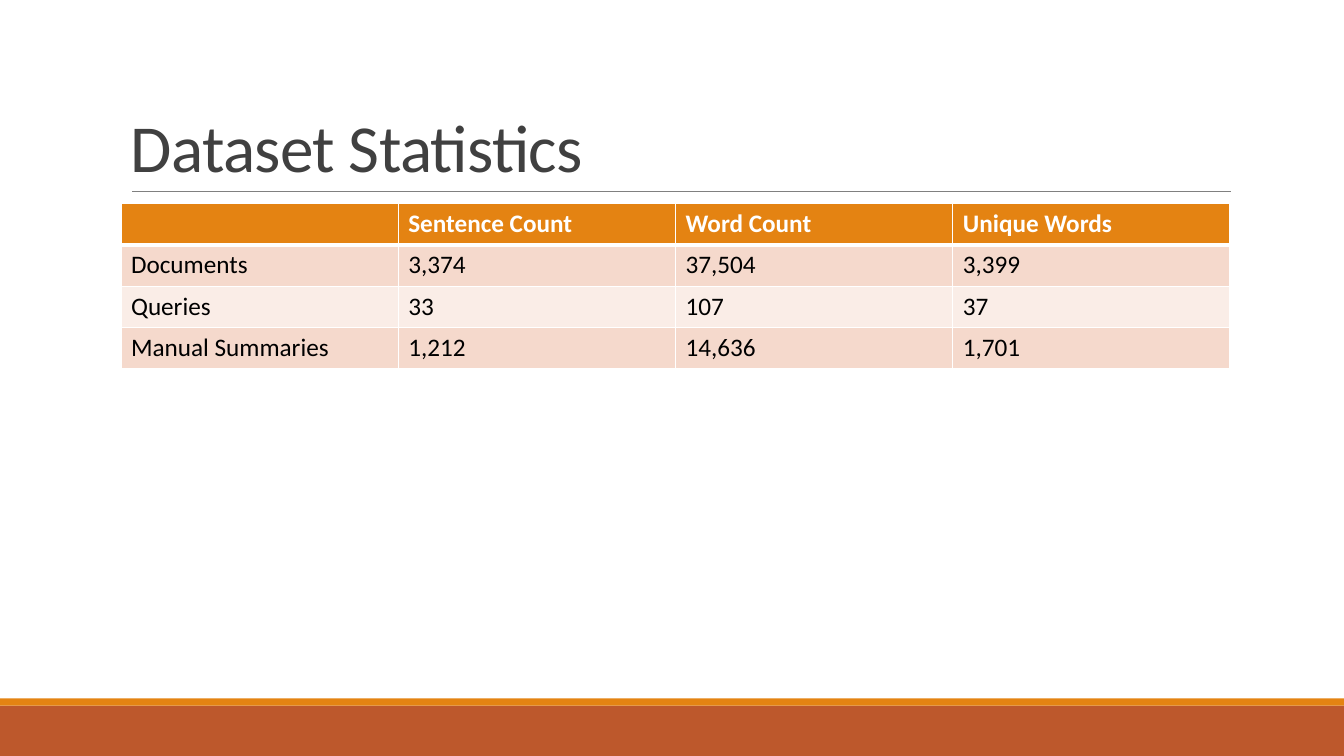
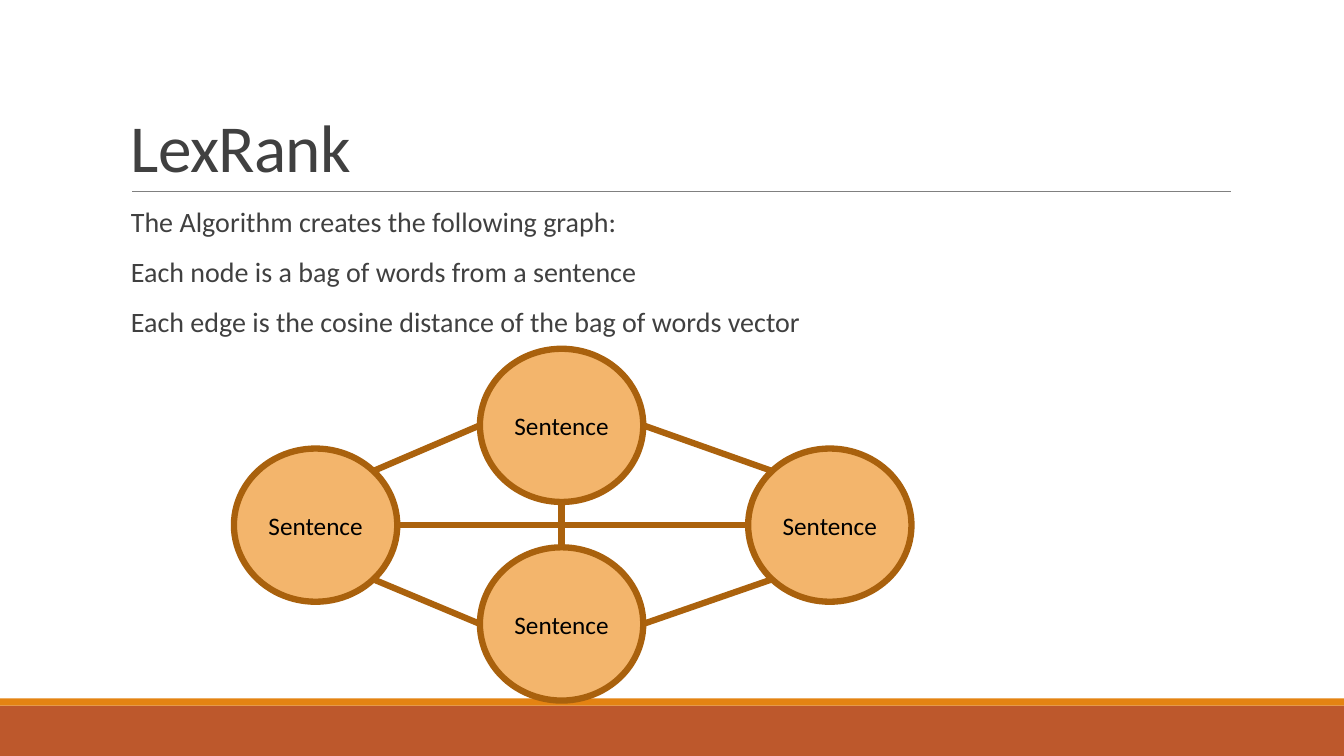
from math import cos, radians, sin

from lxml.etree import SubElement
from pptx import Presentation
from pptx.dml.color import RGBColor
from pptx.enum.shapes import MSO_CONNECTOR, MSO_SHAPE
from pptx.enum.text import MSO_ANCHOR, PP_ALIGN
from pptx.oxml.ns import qn
from pptx.util import Inches, Pt

FONT = "Calibri"
WHITE, BLACK, GRAY = "FFFFFF", "000000", "404040"
ORANGE, RUST, RULE = "E48312", "BD582C", "808080"
PEACH, BROWN, EDGE = "F3B56C", "A9610D", "AB620D"
BANDS = ("F5D9CC", "FAEDE7")
WIDE, HIGH = 13.33, 7.5
BODY = (1.2, 2.02, 11, 4.4)


def color(code):
    """Turn a hex string into a colour."""
    return RGBColor.from_string(code)


def style(para, size, code, bold=False):
    """Set the font of a whole paragraph."""
    font = para.font
    font.name, font.size, font.bold = FONT, Pt(size), bold
    font.color.rgb = color(code)


def shape(slide, kind, box, fill, line=None):
    """Add a flat preset shape with an optional (colour, points) outline."""
    item = slide.shapes.add_shape(kind, *map(Inches, box))
    item.shadow.inherit = False
    item.fill.solid()
    item.fill.fore_color.rgb = color(fill)
    if line:
        item.line.color.rgb = color(line[0])
        item.line.width = Pt(line[1])
    else:
        item.line.fill.background()
    return item


def link(slide, start, end, code, width):
    """Add a straight line between two points."""
    item = slide.shapes.add_connector(
        MSO_CONNECTOR.STRAIGHT, *map(Inches, (*start, *end)))
    item.line.color.rgb = color(code)
    item.line.width = Pt(width)
    SubElement(item._element.spPr, qn("a:effectLst"))


def text(slide, box, lines, size):
    """Add a wrapped text box with one paragraph per line."""
    frame = slide.shapes.add_textbox(*map(Inches, box)).text_frame
    frame.word_wrap = True
    frame.text = "\n".join(lines)
    for para in frame.paragraphs:
        style(para, size, GRAY)
    return frame


def base(deck, title):
    """Add a slide with the shared bands, rule and title."""
    slide = deck.slides.add_slide(deck.slide_layouts[6])
    shape(slide, MSO_SHAPE.RECTANGLE, (0, 7, WIDE, 0.5), RUST)
    shape(slide, MSO_SHAPE.RECTANGLE, (0, 6.93, WIDE, 0.07), ORANGE)
    link(slide, (1.31, 1.9), (12.21, 1.9), RULE, 0.5)
    frame = text(slide, (1.2, 0.31, 11, 1.59), [title], 48)
    frame.vertical_anchor = MSO_ANCHOR.BOTTOM
    para = frame.paragraphs[0]
    para.line_spacing = 0.85
    para._p.pPr.find(qn("a:defRPr")).set("spc", "-50")
    return slide


def border(cell, low):
    """Draw white cell borders, with the bottom one low points wide."""
    props = cell._tc.get_or_add_tcPr()
    for spot, (side, width) in enumerate(
            (("L", 1), ("R", 1), ("T", 1), ("B", low))):
        line = props.makeelement(qn("a:ln" + side), {"w": str(Pt(width))})
        fill = SubElement(line, qn("a:solidFill"))
        SubElement(fill, qn("a:srgbClr"), val=WHITE)
        props.insert(spot, line)


def table(slide, box, rows, step):
    """Fill a box's width with a banded table under a header row."""
    left, top, width, _ = box
    grid = slide.shapes.add_table(
        len(rows), len(rows[0]),
        *map(Inches, (left, top, width, step * len(rows)))).table
    for r, row in enumerate(rows):
        grid.rows[r].height = Inches(step)
        head = r == 0
        for c, value in enumerate(row):
            cell = grid.cell(r, c)
            cell.text = value
            style(cell.text_frame.paragraphs[0], 18,
                  WHITE if head else BLACK, head)
            cell.fill.solid()
            cell.fill.fore_color.rgb = color(
                ORANGE if head else BANDS[(r - 1) % 2])
            border(cell, 3 if head else 1)


def points(slide, box, lines):
    """Add body lines without bullets."""
    for para in text(slide, box, lines, 20).paragraphs:
        para.line_spacing = 0.9
        para.space_before, para.space_after = Pt(12), Pt(2)


def graph(slide, left, top):
    """Draw four sentence nodes and the edges between them."""
    wide, high = 1.62, 1.52
    nodes = {
        "west": (left, top + 0.99),
        "north": (left + 2.44, top),
        "east": (left + 5.1, top + 0.99),
        "south": (left + 2.44, top + 1.97),
    }
    edges = (
        ("west", 0, "east", 180),
        ("north", 90, "south", 270),
        ("north", 0, "east", 225),
        ("north", 180, "west", 315),
        ("south", 0, "east", 135),
        ("west", 45, "south", 180),
    )

    def rim(name, angle):
        """Find the point on a node's rim, clockwise from the right."""
        x, y = nodes[name]
        turn = radians(angle)
        return (x + wide / 2 * (1 + cos(turn)),
                y + high / 2 * (1 + sin(turn)))

    for spot in nodes.values():
        node = shape(slide, MSO_SHAPE.OVAL, (*spot, wide, high),
                     PEACH, (BROWN, 4.5))
        frame = node.text_frame
        frame.text = "Sentence"
        frame.vertical_anchor = MSO_ANCHOR.MIDDLE
        para = frame.paragraphs[0]
        para.alignment = PP_ALIGN.CENTER
        style(para, 18, BLACK)
    for start, out, end, into in edges:
        link(slide, rim(start, out), rim(end, into), EDGE, 4.5)


def main():
    """Build and save the deck."""
    deck = Presentation()
    deck.slide_width, deck.slide_height = Inches(WIDE), Inches(HIGH)

    table(base(deck, "Dataset Statistics"), BODY, (
        ("", "Sentence Count", "Word Count", "Unique Words"),
        ("Documents", "3,374", "37,504", "3,399"),
        ("Queries", "33", "107", "37"),
        ("Manual Summaries", "1,212", "14,636", "1,701"),
    ), 0.41)

    slide = base(deck, "LexRank")
    points(slide, BODY, (
        "The Algorithm creates the following graph:",
        "Each node is a bag of words from a sentence",
        "Each edge is the cosine distance of the bag of words vector",
    ))
    graph(slide, 2.32, 3.46)

    deck.save("out.pptx")


if __name__ == "__main__":
    main()
